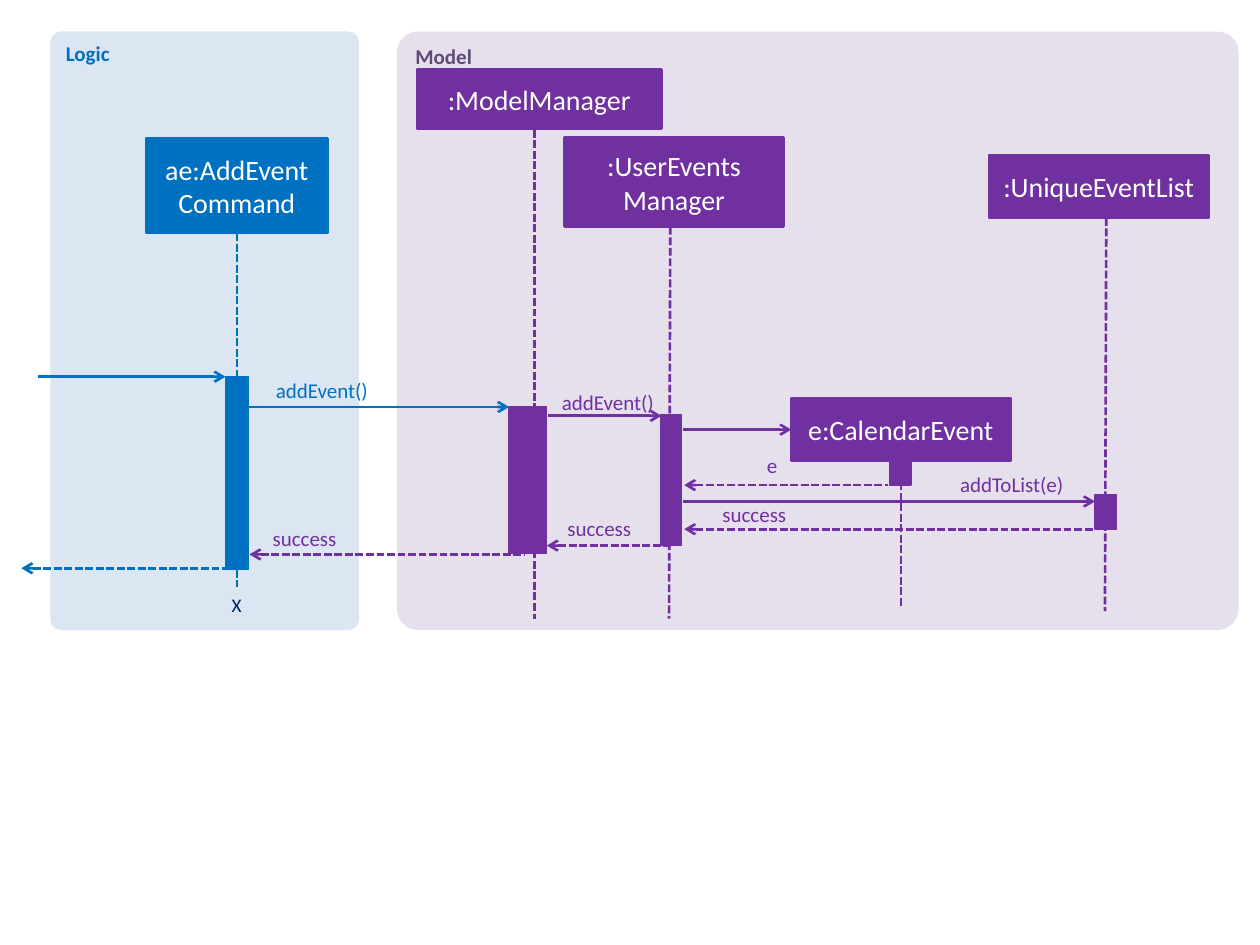
from pptx import Presentation
from pptx.dml.color import RGBColor
from pptx.enum.dml import MSO_LINE
from pptx.enum.shapes import MSO_CONNECTOR, MSO_SHAPE
from pptx.enum.text import MSO_ANCHOR, PP_ALIGN
from pptx.oxml.ns import qn
from pptx.util import Inches, Pt
from lxml.etree import SubElement

BLUE = "0070C0"
PURPLE = "7030A0"


def paint(color_format, color):
    color_format.rgb = RGBColor.from_string(color)


def write(box, text, size=12, color=PURPLE, bold=False, align=PP_ALIGN.LEFT,
          anchor=MSO_ANCHOR.TOP, inset=None, wrap=True):
    frame = box.text_frame
    frame.word_wrap = wrap
    frame.vertical_anchor = anchor
    if inset is not None:
        frame.margin_left = frame.margin_right = Inches(inset)
        frame.margin_top = frame.margin_bottom = Inches(inset)
    frame.text = text
    for para in frame.paragraphs:
        para.alignment = align
        for span in para.runs:
            span.font.name = "Calibri"
            span.font.size = Pt(size)
            span.font.bold = bold
            paint(span.font.color, color)


deck = Presentation()
deck.slide_width = Inches(10)
deck.slide_height = Inches(7.5)
page = deck.slides.add_slide(deck.slide_layouts[6])

panels = [
    ("Model", 3.15, 6.68, "E6E0EC", "604A7B"),
    ("Logic", 0.4, 2.45, "DCE6F2", BLUE),
]
for name, left, width, fill, color in panels:
    panel = page.shapes.add_shape(MSO_SHAPE.ROUNDED_RECTANGLE, Inches(left), Inches(0.25),
                                  Inches(width), Inches(4.75))
    panel.shadow.inherit = False
    panel.adjustments[0] = 0.035
    panel.fill.solid()
    paint(panel.fill.fore_color, fill)
    panel.line.fill.background()
    write(panel, name, color=color, bold=True)

participants = {
    "command": ("ae:AddEvent\vCommand", 1.16, 1.1, 1.44, 0.75, BLUE),
    "model": (":ModelManager", 3.31, 0.55, 1.94, 0.47, PURPLE),
    "manager": (":UserEvents\nManager", 4.48, 1.09, 1.74, 0.71, PURPLE),
    "event": ("e:CalendarEvent", 6.28, 3.16, 1.74, 0.5, PURPLE),
    "list": (":UniqueEventList", 7.85, 1.23, 1.74, 0.5, PURPLE),
}
activations = [
    ("", 1.79, 2.99, 0.18, 1.53, BLUE),
    ("", 4.04, 3.23, 0.3, 1.16, PURPLE),
    ("", 5.24, 3.29, 0.17, 1.04, PURPLE),
    ("", 7.06, 3.54, 0.17, 0.31, PURPLE),
    ("", 8.69, 3.93, 0.17, 0.27, PURPLE),
]
boxes = {}
for key, (text, left, top, width, height, color) in [*participants.items(), *enumerate(activations)]:
    box = page.shapes.add_shape(MSO_SHAPE.RECTANGLE, Inches(left), Inches(top),
                                Inches(width), Inches(height))
    box.shadow.inherit = False
    box.fill.solid()
    paint(box.fill.fore_color, color)
    paint(box.line.color, color)
    box.line.width = Pt(1.5 if text else 0.75)
    if text:
        write(box, text, size=16, color="FFFFFF", align=PP_ALIGN.CENTER, anchor=MSO_ANCHOR.MIDDLE)
    boxes[key] = box

lifelines = [
    (1.88, 1.85, 1.88, 4.66, BLUE, True, None),
    (4.24, 1.03, 4.24, 4.91, PURPLE, True, None),
    (5.32, 1.8, 5.31, 4.91, PURPLE, True, None),
    (7.15, 3.66, 7.15, 4.82, PURPLE, True, None),
    (8.78, 1.73, 8.77, 4.85, PURPLE, True, None),
]
calls = [
    (0.3, 2.99, 1.79, 2.99, BLUE, False, "tailEnd"),
    (1.97, 3.23, 4.04, 3.23, BLUE, False, "tailEnd"),
    (4.35, 3.3, 5.25, 3.3, PURPLE, False, "tailEnd"),
    (5.42, 3.41, 6.28, 3.41, PURPLE, False, "tailEnd"),
    (5.42, 3.98, 8.69, 3.98, PURPLE, False, "tailEnd"),
]
replies = [
    (5.43, 3.85, 7.05, 3.85, PURPLE, True, "headEnd"),
    (5.43, 4.2, 8.68, 4.2, PURPLE, True, "headEnd"),
    (4.34, 4.33, 5.34, 4.33, PURPLE, True, "headEnd"),
    (1.98, 4.4, 4.16, 4.4, PURPLE, True, "headEnd"),
    (0.17, 4.51, 1.79, 4.51, BLUE, True, "headEnd"),
]
connectors = []
for x1, y1, x2, y2, color, dashed, arrow_end in lifelines + calls + replies:
    connector = page.shapes.add_connector(MSO_CONNECTOR.STRAIGHT, Inches(x1), Inches(y1),
                                          Inches(x2), Inches(y2))
    paint(connector.line.color, color)
    connector.line.width = Pt(1.5)
    if dashed:
        connector.line.dash_style = MSO_LINE.SQUARE_DOT
    if arrow_end:
        SubElement(connector.line._get_or_add_ln(), qn(f"a:{arrow_end}"), type="arrow")
    SubElement(connector._element.spPr, qn("a:effectLst"))
    connectors.append(connector)

command_lifeline, event_lifeline, create_call = connectors[0], connectors[3], connectors[8]
command_lifeline.begin_connect(boxes["command"], 2)
event_lifeline.begin_connect(boxes["event"], 2)
create_call.end_connect(boxes["event"], 1)

for key in range(len(activations)):
    page.shapes._spTree.append(boxes[key]._element)

labels = [
    ("addEvent()", 2.07, 3, 0.85, BLUE),
    ("addEvent()", 4.34, 3.09, 0.85, PURPLE),
    ("e", 6.04, 3.59, 0.13, PURPLE),
    ("addToList(e)", 7.59, 3.74, 0.85, PURPLE),
    ("success", 5.39, 3.98, 0.85, PURPLE),
    ("success", 4.16, 4.09, 0.85, PURPLE),
    ("success", 1.82, 4.17, 0.85, PURPLE),
]
for text, left, top, width, color in labels:
    label = page.shapes.add_textbox(Inches(left), Inches(top), Inches(width), Inches(0.2))
    write(label, text, color=color, align=PP_ALIGN.RIGHT, inset=0)

end_mark = page.shapes.add_textbox(Inches(1.74), Inches(4.66), Inches(0.28), Inches(0.29))
write(end_mark, "X", size=11, color="002060", wrap=False)

deck.save("out.pptx")
